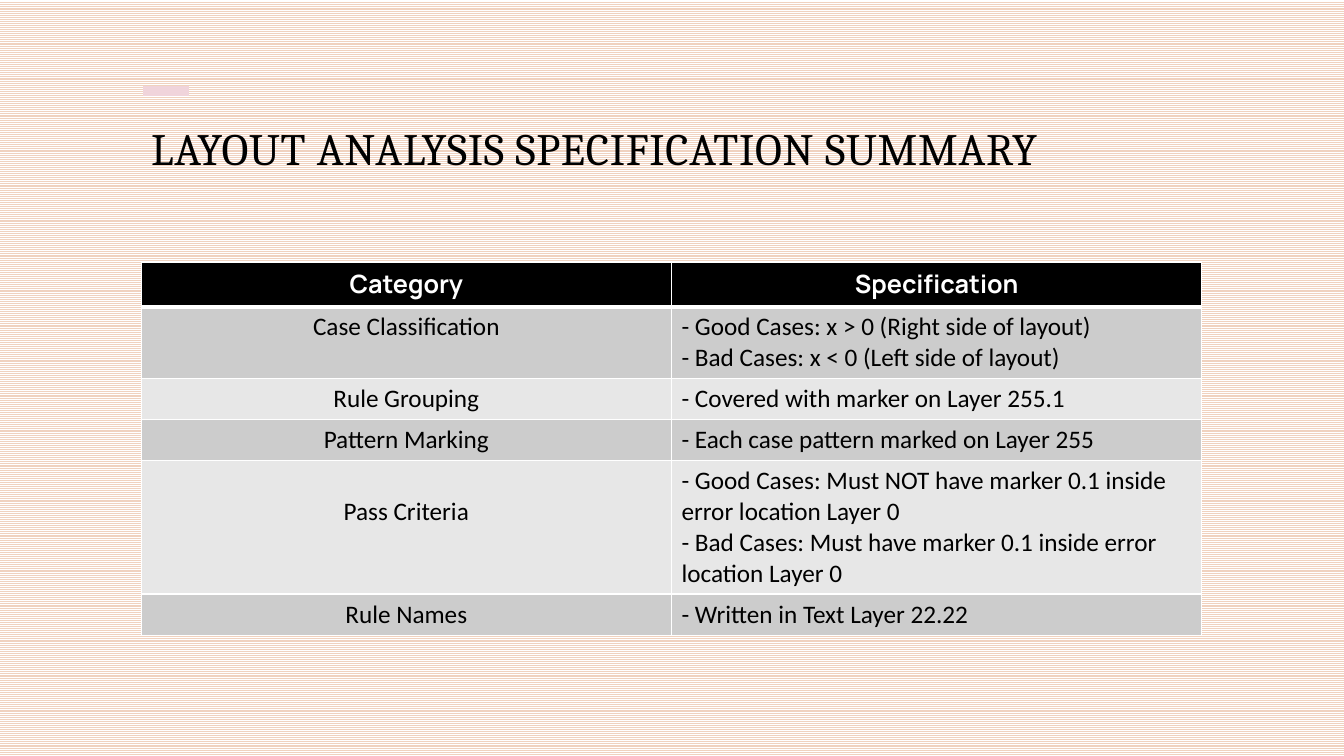
from lxml import etree
from pptx import Presentation
from pptx import util as u
from pptx.dml.color import RGBColor
from pptx.enum import dml, shapes, text
from pptx.oxml.ns import qn


def color(value):
    return RGBColor.from_string(value)


def add_border(cell, side, points):
    """Draw a white line on one side (L, R, T or B); call before filling the cell."""
    line = etree.SubElement(cell._tc.get_or_add_tcPr(), qn(f"a:ln{side}"), w=str(u.Pt(points)))
    solid = etree.SubElement(line, qn("a:solidFill"))
    etree.SubElement(solid, qn("a:srgbClr"), val="FFFFFF")


deck = Presentation()
deck.slide_width, deck.slide_height = u.Inches(13.33), u.Inches(7.5)
page = deck.slides.add_slide(deck.slide_layouts[5])

# Striped background
fill = page.background.fill
fill.patterned()
fill.pattern = dml.MSO_PATTERN.LIGHT_HORIZONTAL
fill.fore_color.rgb = color("F0D2BF")
fill.back_color.rgb = color("FFFFFF")

# Accent dash above the title
dash = page.shapes.add_connector(
    shapes.MSO_CONNECTOR.STRAIGHT,
    u.Inches(1.42), u.Inches(0.9), u.Inches(1.87), u.Inches(0.9))
dash.line.color.rgb = color("F0D4DB")
dash.line.width = u.Pt(7)
etree.SubElement(dash._element.spPr, qn("a:effectLst"))

# Title
title = page.shapes.title
title.left, title.top = u.Inches(1.4), u.Inches(1.25)
title.width, title.height = u.Inches(10.5), u.Inches(0.62)
frame = title.text_frame
frame.text = "LAYOUT ANALYSIS SPECIFICATION SUMMARY"
frame.auto_size = text.MSO_AUTO_SIZE.NONE
frame.vertical_anchor = text.MSO_ANCHOR.TOP
para = frame.paragraphs[0]
para.alignment = text.PP_ALIGN.LEFT
para.line_spacing = 0.8
span = para.runs[0]
span.font.name, span.font.size = "Cambria", u.Pt(32)
span.font.color.rgb = color("000000")
span.font._element.set("spc", "50")

# Specification table: row height, category, specification
rows = [
    (0.41, "Category", "Specification"),
    (0.69, "Case Classification",
     "- Good Cases: x > 0 (Right side of layout)\v- Bad Cases: x < 0 (Left side of layout)"),
    (0.41, "Rule Grouping", "- Covered with marker on Layer 255.1"),
    (0.41, "Pattern Marking", "- Each case pattern marked on Layer 255"),
    (1.3, "Pass Criteria",
     "- Good Cases: Must NOT have marker 0.1 inside error location Layer 0\v"
     "- Bad Cases: Must have marker 0.1 inside error location Layer 0"),
    (0.41, "Rule Names", "- Written in Text Layer 22.22"),
]
table = page.shapes.add_table(
    len(rows), 2, u.Inches(1.4), u.Inches(2.6), u.Inches(10.52),
    u.Inches(sum(row[0] for row in rows))).table

for r, (height, *entries) in enumerate(rows):
    table.rows[r].height = u.Inches(height)
    header = r == 0
    for c, entry in enumerate(entries):
        cell = table.cell(r, c)
        for side in "LRTB":
            thick = (header and side == "B") or (r == 1 and side == "T")
            add_border(cell, side, 3 if thick else 1)
        cell.fill.solid()
        cell.fill.fore_color.rgb = color("000000" if header else "CCCCCC" if r % 2 else "E7E7E7")
        para = cell.text_frame.paragraphs[0]
        para.text = entry
        para.alignment = text.PP_ALIGN.CENTER if header or c == 0 else text.PP_ALIGN.LEFT
        for span in para.runs:
            span.font.name = "Manrope" if header else "Calibri"
            span.font.size = u.Pt(18)
            span.font.bold = header
            span.font.color.rgb = color("FFFFFF" if header else "000000")

# "Pass Criteria" sits one line lower than the other categories
table.cell(4, 0).margin_top = u.Inches(0.35)

deck.save("out.pptx")
